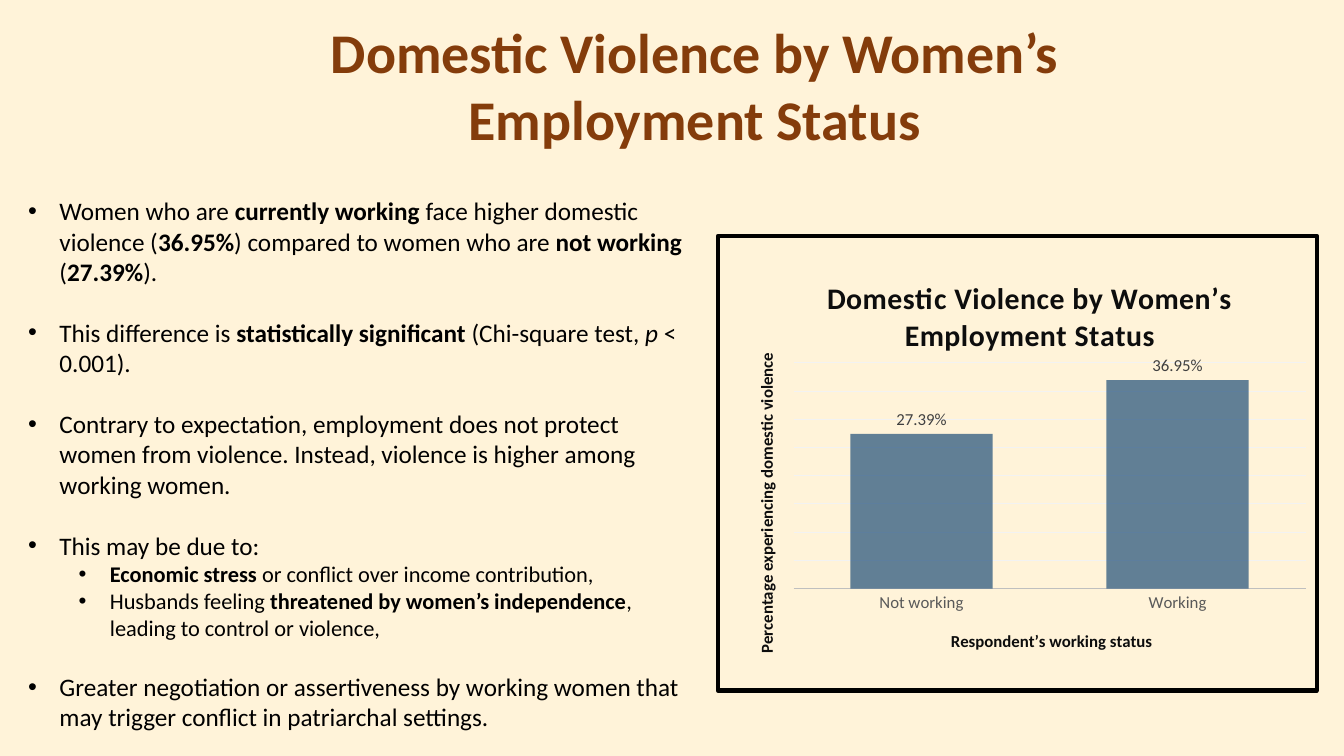
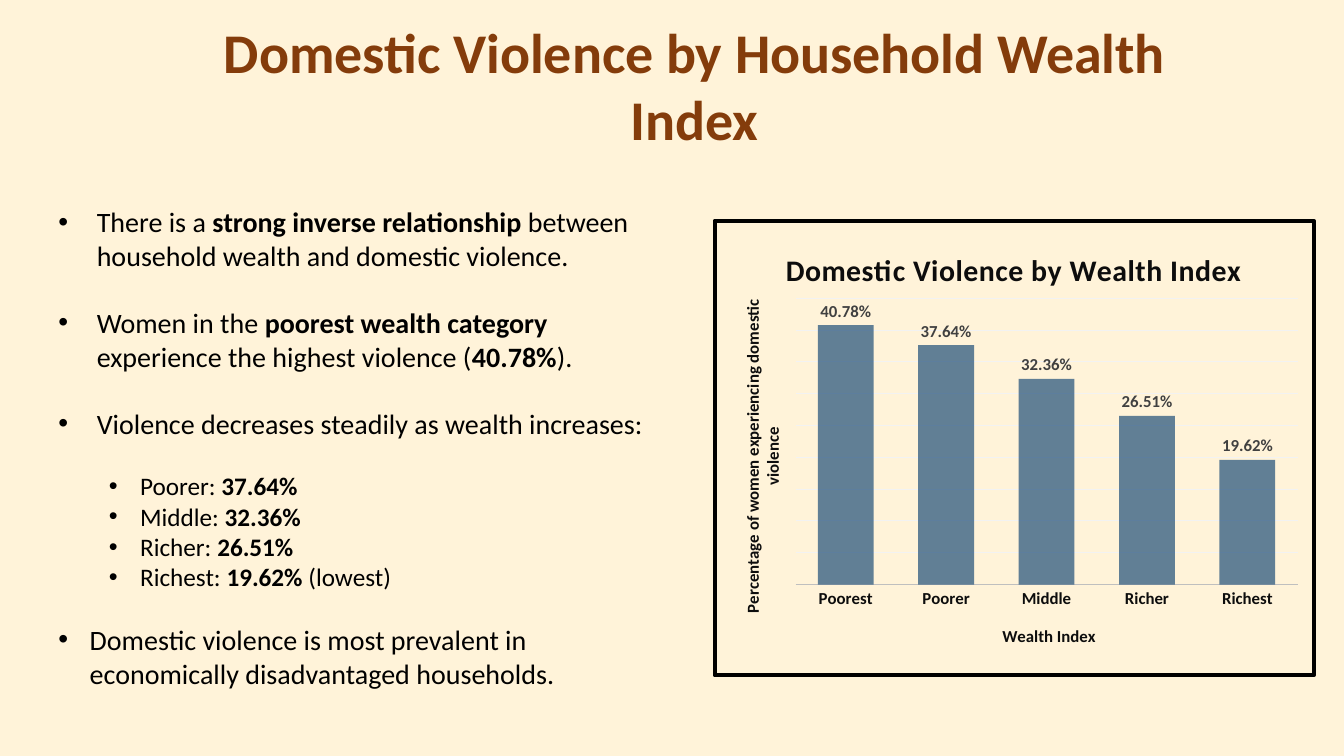
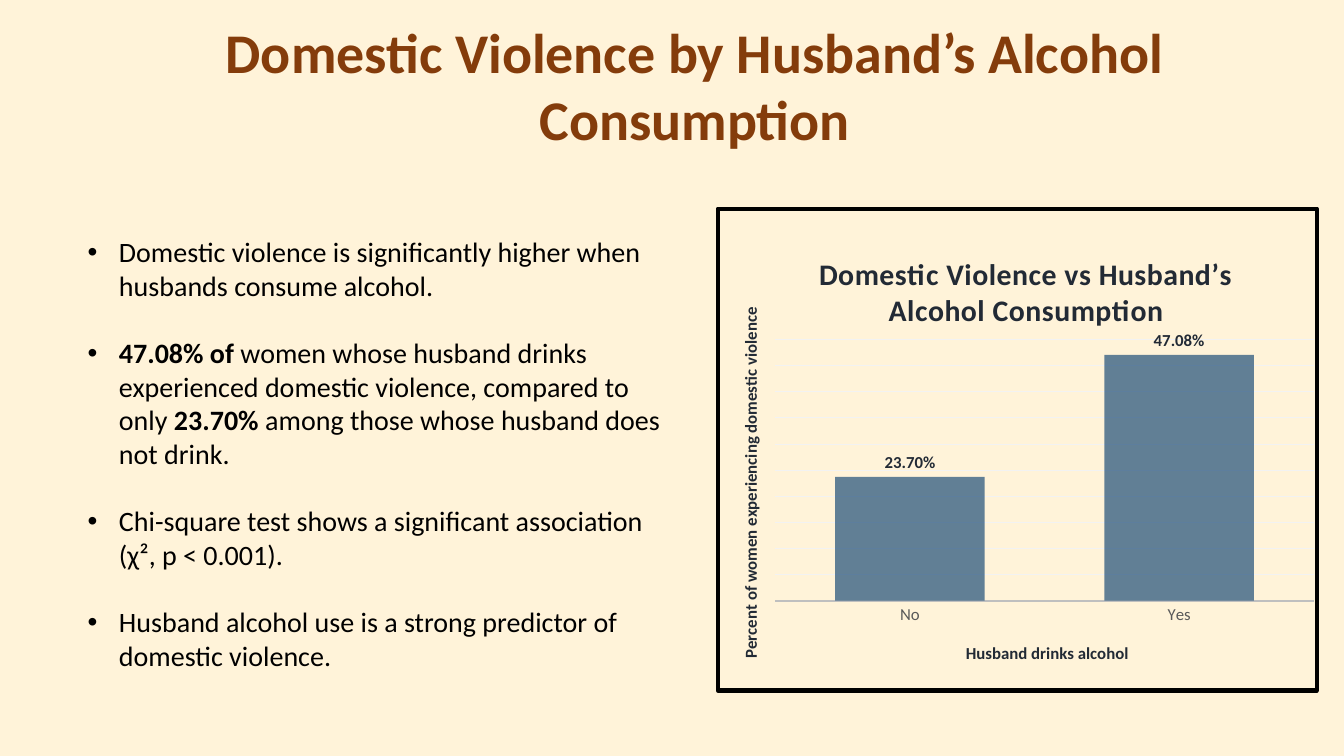
from pptx import Presentation
from pptx.chart.data import CategoryChartData
from pptx.dml.color import RGBColor
from pptx.enum.chart import XL_CHART_TYPE as Chart, XL_LABEL_POSITION as LabelPos
from pptx.enum.chart import XL_TICK_MARK as Tick
from pptx.enum.shapes import MSO_SHAPE as Shape
from pptx.enum.text import MSO_ANCHOR as Anchor, MSO_AUTO_SIZE as AutoSize, PP_ALIGN as Align
from pptx.oxml import parse_xml
from pptx.oxml.ns import nsdecls, qn
from pptx.util import Inches, Pt

CREAM = RGBColor(0xFF, 0xF3, 0xD9)
BROWN = RGBColor(0x84, 0x3C, 0x0B)
BLACK = RGBColor(0x00, 0x00, 0x00)
INK = RGBColor(0x0D, 0x0D, 0x0D)
NAVY = RGBColor(0x22, 0x2A, 0x35)
CHARCOAL = RGBColor(0x40, 0x40, 0x40)
GRAY = RGBColor(0x59, 0x59, 0x59)
SILVER = RGBColor(0xBF, 0xBF, 0xBF)
PALE = RGBColor(0xF2, 0xF2, 0xF2)
BLUE = RGBColor(0x1F, 0x4E, 0x79)
FONT = "Calibri"
PERCENT = "0.00%"


class Deck:
    """Holds the shared style and the current slide."""

    def __init__(self):
        self.prs = Presentation()
        self.prs.slide_width, self.prs.slide_height = Inches(13.33), Inches(7.5)
        fill = self.prs.slide_master.background.fill
        fill.solid()
        fill.fore_color.rgb = CREAM

    def assign(self, obj, **values):
        for name, value in values.items():
            setattr(obj, name, value)

    def font(self, font, size, color, **values):
        self.assign(font, name=FONT, size=Pt(size), **values)
        font.color.rgb = color

    def place(self, sp, box):
        for name, value in zip(("left", "top", "width", "height"), box):
            setattr(sp, name, Inches(value))

    def slide(self, title):
        self.s = self.prs.slides.add_slide(self.prs.slide_layouts[1])
        sp = self.s.shapes.title
        self.place(sp, (2.09, 0.12, 9.6, 1.45))
        tf = sp.text_frame
        self.assign(tf, word_wrap=True, auto_size=AutoSize.NONE, vertical_anchor=Anchor.TOP)
        p = tf.paragraphs[0]
        p.alignment = Align.CENTER
        r = p.add_run()
        r.text = title
        self.font(r.font, 40, BROWN, bold=True)

    def bullets(self, box, items):
        sp = self.s.placeholders[1]
        self.place(sp, box)
        tf = sp.text_frame
        self.assign(tf, word_wrap=True, auto_size=AutoSize.NONE, vertical_anchor=Anchor.TOP)
        for i, (text, size, left, hang, gap) in enumerate(items):
            p = tf.add_paragraph() if i else tf.paragraphs[0]
            self.assign(p, level=int(left > hang), line_spacing=1.0,
                        space_before=Pt(0), space_after=Pt(gap))
            pPr = p._p.get_or_add_pPr()
            pPr.set("marL", str(Inches(left)))
            pPr.set("indent", str(-Inches(hang)))
            pPr.append(parse_xml(f'<a:buFont {nsdecls("a")} typeface="Arial"/>'))
            pPr.append(parse_xml(f'<a:buChar {nsdecls("a")} char="•"/>'))
            for j, part in enumerate(text.split("**")):
                for k, piece in enumerate(part.split("_")):
                    if piece:
                        r = p.add_run()
                        r.text = piece
                        self.font(r.font, size, BLACK, bold=j % 2 == 1, italic=k % 2 == 1)

    def frame(self, box):
        sp = self.s.shapes.add_shape(Shape.RECTANGLE, *map(Inches, box))
        sp.shadow.inherit = False
        sp.fill.background()
        sp.line.color.rgb = BLACK
        sp.line.width = Pt(3)

    def layout(self, el, index, box, spot):
        left, top, width, height = box
        values = {"x": (spot[0] - left) / width, "y": (spot[1] - top) / height}
        modes = '<c:xMode val="edge"/><c:yMode val="edge"/>'
        if len(spot) == 4:
            values.update(w=spot[2] / width, h=spot[3] / height)
            modes = '<c:layoutTarget val="inner"/>' + modes
        sizes = "".join(f'<c:{name} val="{v:.4f}"/>' for name, v in values.items())
        old = el.find(qn("c:layout"))
        if old is not None:
            el.remove(old)
        el.insert(index, parse_xml(f'<c:layout {nsdecls("c")}><c:manualLayout>{modes}{sizes}'
                                   '</c:manualLayout></c:layout>'))

    def chart_title(self, title, text, size, color, box, spot, spacing=0, turn=0):
        r = title.text_frame.paragraphs[0].add_run()
        r.text = text
        self.font(r.font, size, color, bold=True)
        r.font._element.set("spc", str(spacing))
        title.element.find(".//" + qn("a:bodyPr")).set("rot", str(turn * 60000))
        self.layout(title.element, 1, box, spot)

    def chart(self, box, plot_box, data, top, titles, title_color=INK,
              tick=(GRAY, False), label=(CHARCOAL, False)):
        cd = CategoryChartData(number_format=PERCENT)
        cd.categories = list(data)
        cd.add_series("Series 1", list(data.values()))
        chart = self.s.shapes.add_chart(Chart.COLUMN_CLUSTERED, *map(Inches, box), cd).chart
        self.font(chart.font, 10, BLACK)
        self.assign(chart, has_legend=False, has_title=True)

        cat, val = chart.category_axis, chart.value_axis
        self.assign(cat, major_tick_mark=Tick.NONE, minor_tick_mark=Tick.NONE)
        self.font(cat.tick_labels.font, 12, tick[0], bold=tick[1])
        self.assign(val, visible=False, has_major_gridlines=True,
                    minimum_scale=0, maximum_scale=top, major_unit=0.05)
        val.tick_labels.number_format = PERCENT
        for line, color, width in ((cat.format.line, SILVER, 1.25),
                                   (val.major_gridlines.format.line, PALE, 0.75)):
            line.color.rgb = color
            line.width = Pt(width)

        (main, main_at), (cat_text, cat_at), (val_text, val_at) = titles
        self.chart_title(chart.chart_title, main, 21.3, title_color, box, main_at, spacing=50)
        self.chart_title(cat.axis_title, cat_text, 12, title_color, box, cat_at)
        self.chart_title(val.axis_title, val_text, 12, title_color, box, val_at, turn=-90)
        self.layout(chart.element.find(".//" + qn("c:plotArea")), 0, box, plot_box)

        plot = chart.plots[0]
        self.assign(plot, gap_width=80, overlap=25, vary_by_categories=False, has_data_labels=True)
        labels = plot.data_labels
        self.assign(labels, show_value=True, position=LabelPos.OUTSIDE_END,
                    number_format=PERCENT, number_format_is_linked=False)
        self.font(labels.font, 12, label[0], bold=label[1])
        fill = plot.series[0].format.fill
        fill.solid()
        fill.fore_color.rgb = BLUE
        color = plot.series[0].format.fill._xPr.find(".//" + qn("a:srgbClr"))
        color.append(parse_xml(f'<a:alpha {nsdecls("a")} val="70000"/>'))


def employment(deck):
    deck.slide("Domestic Violence by Women’s Employment Status")
    deck.chart((7.28, 2.47, 5.78, 4.17), (7.87, 3.6, 5.08, 2.24),
               {"Not working": 0.2739, "Working": 0.3695}, 0.4,
               (("Domestic Violence by Women’s Employment Status", (8.15, 2.7)),
                ("Respondent’s working status", (9.4, 6.22)),
                ("Percentage experiencing domestic violence", (7.46, 3.47))))
    deck.frame((7.12, 2.34, 5.94, 4.51))
    main, sub = (18, 0.31, 0.31), (16, 0.81, 0.31)
    deck.bullets((0.18, 1.89, 6.86, 5.76), [
        ("Women who are **currently working** face higher domestic violence (**36.95%**) "
         "compared to women who are **not working** (**27.39%**).", *main, 22),
        ("This difference is **statistically significant** (Chi-square test, _p_ < 0.001).",
         *main, 22),
        ("Contrary to expectation, employment does not protect women from violence. "
         "Instead, violence is higher among working women.", *main, 22),
        ("This may be due to:", *main, 0),
        ("**Economic stress** or conflict over income contribution,", *sub, 0),
        ("Husbands feeling **threatened by women’s independence**, "
         "leading to control or violence,", *sub, 22),
        ("Greater negotiation or assertiveness by working women that may trigger conflict "
         "in patriarchal settings.", *main, 0)])


def wealth(deck):
    deck.slide("Domestic Violence by Household Wealth Index")
    deck.chart((7.09, 2.19, 5.89, 4.4), (7.89, 2.96, 4.98, 2.84),
               {"Poorest": 0.4078, "Poorer": 0.3764, "Middle": 0.3236,
                "Richer": 0.2651, "Richest": 0.1962}, 0.45,
               (("Domestic Violence by Wealth Index", (7.74, 2.42)),
                ("Wealth Index", (9.91, 6.17)),
                ("Percentage of women experiencing domestic violence", (7.32, 2.94))),
               tick=(INK, True), label=(CHARCOAL, True))
    deck.frame((7.09, 2.19, 5.94, 4.51))
    main, sub = (20, 0.38, 0.38), (18, 0.81, 0.31)
    deck.bullets((0.48, 1.98, 6.2, 4.95), [
        ("There is a **strong inverse relationship** between household wealth "
         "and domestic violence.", *main, 24),
        ("Women in the **poorest wealth category** experience the highest violence "
         "(**40.78%**).", *main, 24),
        ("Violence decreases steadily as wealth increases:", *main, 22),
        ("Poorer: **37.64%**", *sub, 0),
        ("Middle: **32.36%**", *sub, 0),
        ("Richer: **26.51%**", *sub, 0),
        ("Richest: **19.62%** (lowest)", *sub, 22),
        ("Domestic violence is most prevalent in economically disadvantaged households.",
         20, 0.31, 0.31, 0)])


def alcohol(deck):
    deck.slide("Domestic Violence by Husband’s Alcohol Consumption")
    deck.chart((7.09, 2.23, 6.06, 4.52), (7.69, 3.37, 5.34, 2.59),
               {"No": 0.237, "Yes": 0.4708}, 0.5,
               (("Domestic Violence vs Husband’s Alcohol Consumption", (8.07, 2.46)),
                ("Husband drinks alcohol", (9.55, 6.34)),
                ("Percent of women experiencing domestic violence", (7.3, 3.02))),
               title_color=NAVY, label=(NAVY, True))
    deck.frame((7.12, 2.07, 5.94, 4.78))
    deck.bullets((0.77, 2.28, 5.92, 4.48), [(text, 20, 0.31, 0.31, 24) for text in (
        "Domestic violence is significantly higher when husbands consume alcohol.",
        "**47.08% of **women whose husband drinks experienced domestic violence, "
        "compared to only **23.70% **among those whose husband does not drink.",
        "Chi-square test shows a significant association (χ², p < 0.001).",
        "Husband alcohol use is a strong predictor of domestic violence.")])


def main():
    deck = Deck()
    for build in (employment, wealth, alcohol):
        build(deck)
    deck.prs.save("out.pptx")


if __name__ == "__main__":
    main()
